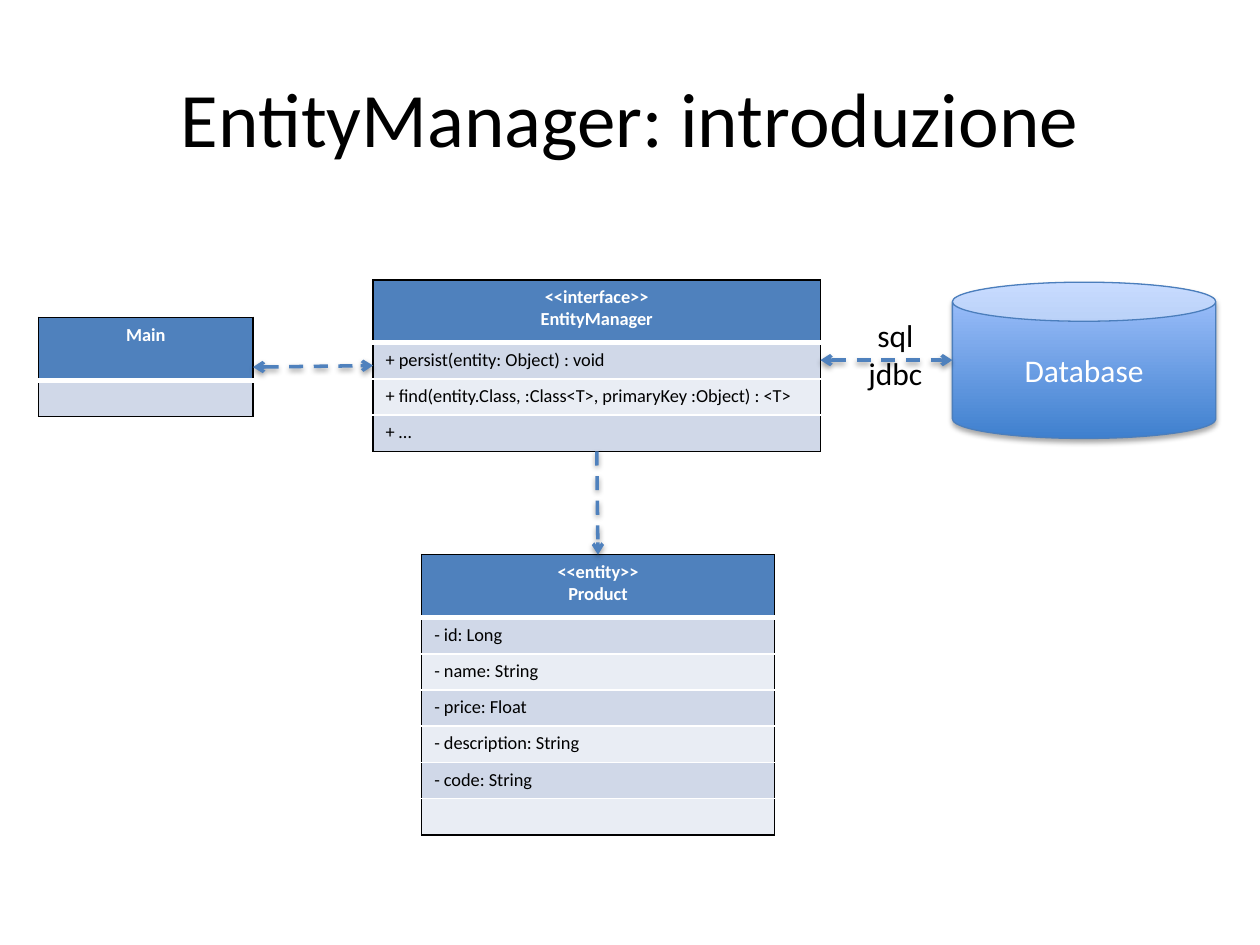
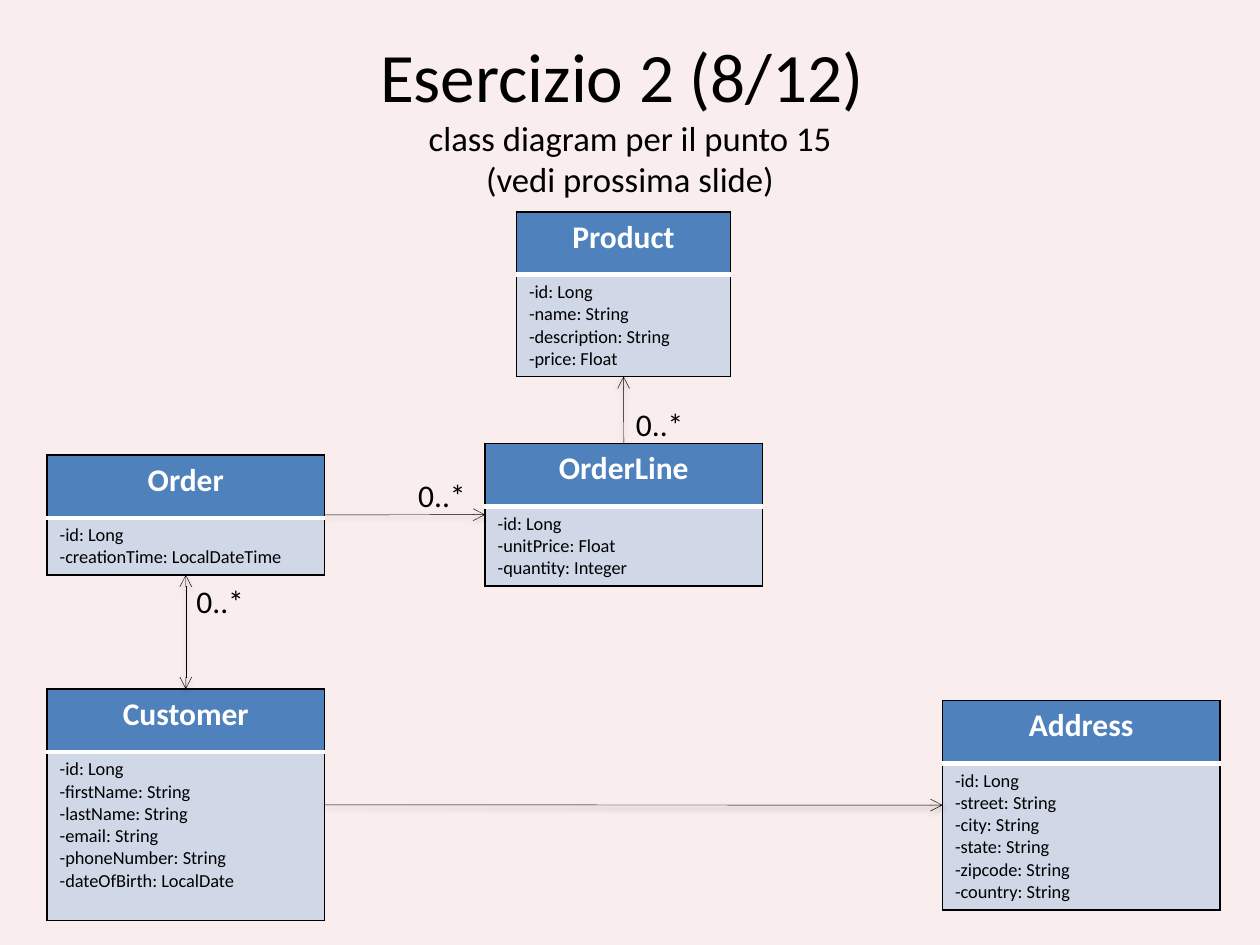
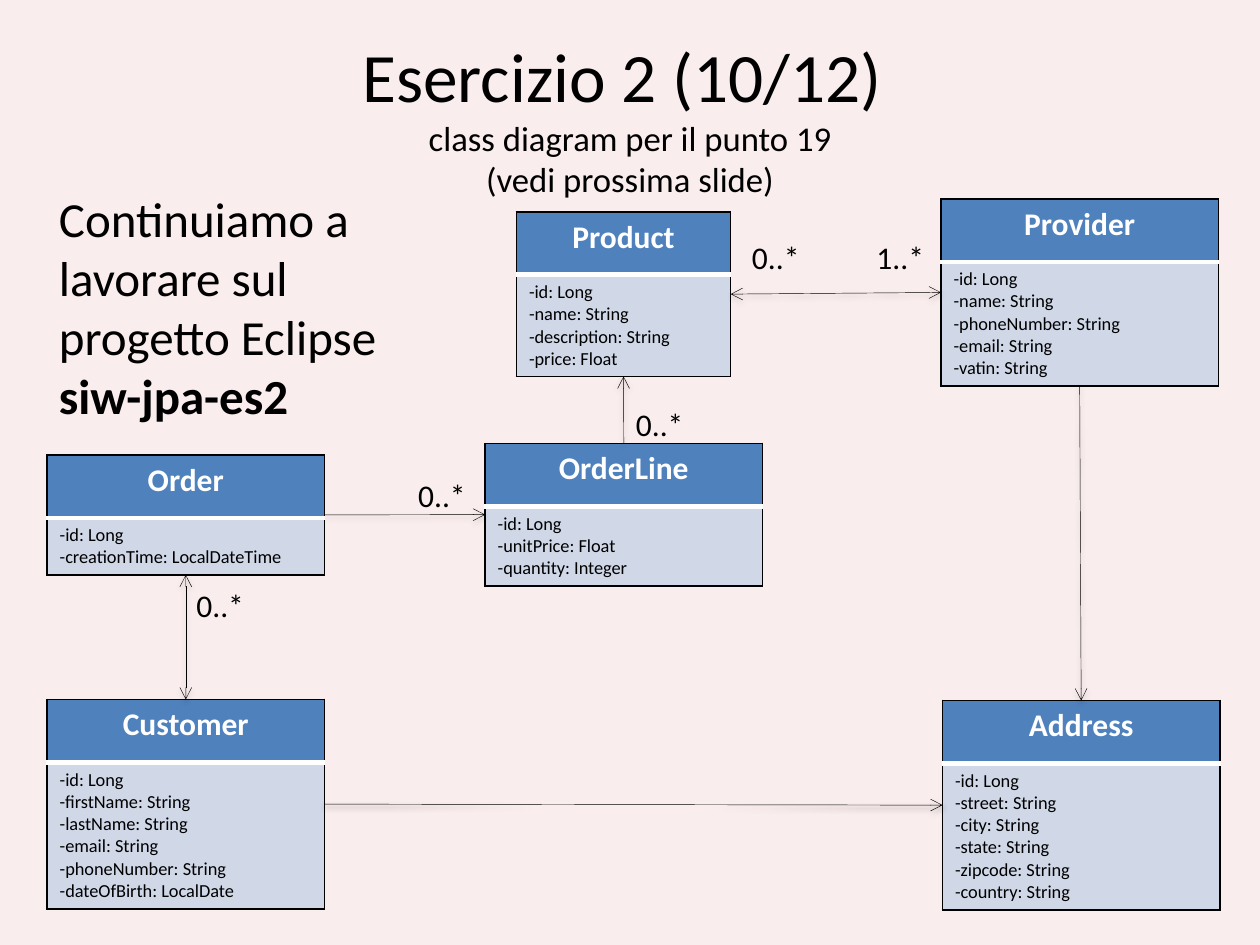
from dataclasses import dataclass, replace

from lxml import etree
from pptx import Presentation
from pptx.dml.color import RGBColor
from pptx.enum.dml import MSO_LINE
from pptx.enum.shapes import MSO_CONNECTOR, MSO_SHAPE
from pptx.enum.text import MSO_ANCHOR, MSO_AUTO_SIZE, PP_ALIGN
from pptx.oxml.ns import qn
from pptx.util import Cm, Pt

CENTER, LEFT = PP_ALIGN.CENTER, PP_ALIGN.LEFT
STRAIGHT, CAN = MSO_CONNECTOR.STRAIGHT, MSO_SHAPE.CAN
MIDDLE = MSO_ANCHOR.MIDDLE
NO_FIT, GROW = MSO_AUTO_SIZE.NONE, MSO_AUTO_SIZE.SHAPE_TO_FIT_TEXT
DASH = MSO_LINE.DASH
TOP_SIDE, LEFT_SIDE, BOTTOM_SIDE, RIGHT_SIDE = range(4)
TITLE_ONLY = 5


@dataclass(frozen=True)
class Theme:
    font: str = "Calibri"
    black: str = "000000"
    white: str = "FFFFFF"
    header: str = "4F81BD"
    bands: tuple[str, str] = ("D0D8E8", "E9EDF4")
    exercise_bg: str = "F9EDED"
    can_bottom: str = "3F80CE"
    can_top: str = "A4C4FF"
    can_line: str = "4B7EBC"
    title: float = 44
    exercise_title: float = 39.6
    subtitle: float = 19.8
    note: float = 28
    label: float = 18
    member: float = 10.5


THEME = Theme()

# Class box measures in cm
HEADER_H, MIN_ROW_H, LINE_H, CELL_PAD = 1.27, 0.73, 0.45, 0.25


@dataclass(frozen=True)
class ClassBox:
    name: str
    x: float
    y: float
    w: float
    rows: tuple[str, ...]
    stereotype: str = ""
    extra: float = 0
    size: float = THEME.label


@dataclass(frozen=True)
class Link:
    start: str
    start_side: int
    end: str
    end_side: int
    both: bool = False


@dataclass(frozen=True)
class Label:
    text: str
    x: float
    y: float
    w: float = 1.47
    h: float = 1.02
    align: PP_ALIGN = LEFT


@dataclass(frozen=True)
class LinkStyle:
    color: str
    width: float
    dashed: bool = False


THIN = LinkStyle(THEME.black, 0.25)
DASHED = LinkStyle(THEME.header, 2, True)


# Formatting helpers
def set_font(font, size: float, color: str, bold: bool = False) -> None:
    font.name = THEME.font
    font.size = Pt(size)
    font.bold = bold
    font.color.rgb = RGBColor.from_string(color)


def write(tf, text: str, size: float, color: str, align=LEFT, bold: bool = False) -> None:
    tf.text = text
    for p in tf.paragraphs:
        p.alignment = align
        set_font(p.font, size, color, bold)


def add_shadow(shape, opacity: int, distance: int) -> None:
    effects = etree.SubElement(shape._element.spPr, qn("a:effectLst"))
    shadow = etree.SubElement(effects, qn("a:outerShdw"), blurRad="40000",
                              dist=str(distance), dir="5400000", rotWithShape="0")
    color = etree.SubElement(shadow, qn("a:srgbClr"), val=THEME.black)
    etree.SubElement(color, qn("a:alpha"), val=str(opacity * 1000))


def set_borders(cell, top: tuple[str, float], bottom: tuple[str, float]) -> None:
    tcPr = cell._tc.get_or_add_tcPr()
    side = (THEME.black, 1)
    for tag, (color, width) in (("lnL", side), ("lnR", side), ("lnT", top), ("lnB", bottom)):
        ln = etree.SubElement(tcPr, qn(f"a:{tag}"), w=str(Pt(width)))
        fill = etree.SubElement(ln, qn("a:solidFill"))
        etree.SubElement(fill, qn("a:srgbClr"), val=color)


# Drawing
def add_class(s, box: ClassBox):
    heights = [HEADER_H]
    for text in box.rows:
        lines = text.count("\n") + 1
        heights.append(max(MIN_ROW_H, CELL_PAD + LINE_H * lines) + box.extra)
    frame = s.shapes.add_table(len(heights), 1, Cm(box.x), Cm(box.y),
                               Cm(box.w), Cm(sum(heights)))
    table = frame.table
    table.horz_banding = False
    outer, inner, divider = (THEME.black, 1), (THEME.white, 1), (THEME.white, 3)
    edges = [outer, divider] + [inner] * (len(box.rows) - 1) + [outer]
    heading = "\n".join(filter(None, (box.stereotype, box.name)))
    for i, (text, height) in enumerate(zip((heading, *box.rows), heights)):
        table.rows[i].height = Cm(height)
        cell = table.cell(i, 0)
        set_borders(cell, edges[i], edges[i + 1])
        cell.fill.solid()
        if i == 0:
            fill = THEME.header
            write(cell.text_frame, text, box.size, THEME.white, CENTER, True)
        else:
            fill = THEME.bands[(i - 1) % 2]
            write(cell.text_frame, text, THEME.member, THEME.black)
        cell.fill.fore_color.rgb = RGBColor.from_string(fill)
    return frame


def add_line(s, style: LinkStyle, both: bool, x1=0.0, y1=0.0, x2=0.0, y2=0.0):
    line = s.shapes.add_connector(STRAIGHT, Cm(x1), Cm(y1), Cm(x2), Cm(y2))
    line.line.color.rgb = RGBColor.from_string(style.color)
    line.line.width = Pt(style.width)
    if style.dashed:
        line.line.dash_style = DASH
    ln = line.line._get_or_add_ln()
    for tag in ("headEnd", "tailEnd") if both else ("tailEnd",):
        etree.SubElement(ln, qn(f"a:{tag}"), type="arrow")
    add_shadow(line, 38, 20000)
    return line


def add_diagram(s, boxes: list[ClassBox], links: list[Link], style: LinkStyle) -> None:
    frames = {box.name: add_class(s, box) for box in boxes}
    for link in links:
        line = add_line(s, style, link.both)
        line.begin_connect(frames[link.start], link.start_side)
        line.end_connect(frames[link.end], link.end_side)


def add_label(s, label: Label) -> None:
    tf = s.shapes.add_textbox(Cm(label.x), Cm(label.y), Cm(label.w), Cm(label.h)).text_frame
    tf.word_wrap = False
    tf.auto_size = GROW
    write(tf, label.text, THEME.label, THEME.black, label.align)


def add_database(s, x: float, y: float, w: float, h: float) -> None:
    can = s.shapes.add_shape(CAN, Cm(x), Cm(y), Cm(w), Cm(h))
    can.fill.gradient()
    can.fill.gradient_angle = 90
    for stop, color in zip(can.fill.gradient_stops, (THEME.can_bottom, THEME.can_top)):
        stop.color.rgb = RGBColor.from_string(color)
    can.line.color.rgb = RGBColor.from_string(THEME.can_line)
    can.line.width = Pt(0.75)
    add_shadow(can, 35, 23000)
    can.text_frame.vertical_anchor = MIDDLE
    write(can.text_frame, "Database", THEME.label, THEME.white, CENTER)


def add_slide(prs, background: str):
    s = prs.slides.add_slide(prs.slide_layouts[TITLE_ONLY])
    s.background.fill.solid()
    s.background.fill.fore_color.rgb = RGBColor.from_string(background)
    title = s.shapes.title
    title.left, title.top, title.width, title.height = Cm(1.27), Cm(0.76), Cm(22.86), Cm(3.18)
    tf = title.text_frame
    tf.auto_size = NO_FIT
    tf.vertical_anchor = MIDDLE
    return s, tf


def add_exercise(prs, heading: str, subtitle: tuple[str, ...], boxes: list[ClassBox],
                 links: list[Link], labels: list[Label]):
    s, tf = add_slide(prs, THEME.exercise_bg)
    p = tf.paragraphs[0]
    p.alignment = CENTER
    set_font(p.font, THEME.subtitle, THEME.black)
    r = p.add_run()
    r.text = heading
    r.font.size = Pt(THEME.exercise_title)
    for text in subtitle:
        p.add_line_break()
        p.add_run().text = text
    add_diagram(s, boxes, links, THIN)
    for label in labels:
        add_label(s, label)
    return s


# Entity manager slide
MANAGER_BOXES = [
    ClassBox("Product", 8.5, 11.18, 7.11,
             ("- id: Long", "- name: String", "- price: Float",
              "- description: String", "- code: String", ""),
             "<<entity>>", size=THEME.member),
    ClassBox("Main", 0.78, 6.4, 4.32, ("",), size=THEME.member),
    ClassBox("EntityManager", 7.52, 5.64, 9.02,
             ("+ persist(entity: Object) : void",
              "+ find(entity.Class, :Class<T>, primaryKey :Object) : <T>", "+ …"),
             "<<interface>>", size=THEME.member),
]
MANAGER_LINKS = [
    Link("EntityManager", BOTTOM_SIDE, "Product", TOP_SIDE),
    Link("Main", RIGHT_SIDE, "EntityManager", LEFT_SIDE, True),
]

# Order model shared by the exercise slides
CUSTOMER = ClassBox("Customer", 0.95, 14.1, 5.59,
                    ("-id: Long\n-firstName: String\n-lastName: String\n-email: String\n"
                     "-phoneNumber: String\n-dateOfBirth: LocalDate",))
ORDER_BOXES = [
    ClassBox("Product", 10.41, 4.27, 4.32,
             ("-id: Long\n-name: String\n-description: String\n-price: Float",)),
    ClassBox("Order", 0.95, 9.17, 5.59, ("-id: Long\n-creationTime: LocalDateTime",)),
    ClassBox("OrderLine", 9.78, 8.94, 5.59,
             ("-id: Long\n-unitPrice: Float\n-quantity: Integer",)),
    ClassBox("Address", 19, 14.12, 5.59,
             ("-id: Long\n-street: String\n-city: String\n-state: String\n"
              "-zipcode: String\n-country: String",)),
]
ORDER_LINKS = [
    Link("Order", RIGHT_SIDE, "OrderLine", LEFT_SIDE),
    Link("OrderLine", TOP_SIDE, "Product", BOTTOM_SIDE),
    Link("Customer", RIGHT_SIDE, "Address", LEFT_SIDE),
    Link("Customer", TOP_SIDE, "Order", BOTTOM_SIDE, True),
]
ORDER_LABELS = [Label("0..*", 8.18, 9.47), Label("0..*", 12.57, 8.05)]

# Provider, added in the second exercise
PROVIDER = ClassBox("Provider", 18.97, 4.01, 5.59,
                    ("-id: Long\n-name: String\n-phoneNumber: String\n"
                     "-email: String\n-vatin: String",))
PROVIDER_LINKS = [
    Link("Product", RIGHT_SIDE, "Provider", LEFT_SIDE, True),
    Link("Provider", BOTTOM_SIDE, "Address", TOP_SIDE),
]
PROVIDER_LABELS = [Label("1..*", 17.42, 4.67), Label("0..*", 14.91, 4.67)]


def build_manager_slide(prs) -> None:
    s, tf = add_slide(prs, THEME.white)
    write(tf, "EntityManager: introduzione", THEME.title, THEME.black, CENTER)
    add_diagram(s, MANAGER_BOXES, MANAGER_LINKS, DASHED)
    add_database(s, 19.2, 5.69, 5.31, 3.15)
    add_line(s, DASHED, True, 16.54, 7.26, 19.2, 7.26)
    add_label(s, Label("sql\njdbc", 17.25, 6.25, 1.6, 1.8, CENTER))


def build_exercise_slides(prs) -> None:
    next_slide = "(vedi prossima slide)"
    tall_customer = replace(CUSTOMER, y=13.89, extra=LINE_H)
    add_exercise(prs, "Esercizio 2 (8/12) ", ("class diagram per il punto 15", next_slide),
                 [*ORDER_BOXES, tall_customer], ORDER_LINKS,
                 [*ORDER_LABELS, Label("0..*", 3.71, 11.61)])
    s = add_exercise(prs, "Esercizio 2 (10/12) ", ("class diagram per il punto 19", next_slide),
                     [*ORDER_BOXES, CUSTOMER, PROVIDER], ORDER_LINKS + PROVIDER_LINKS,
                     [*ORDER_LABELS, *PROVIDER_LABELS, Label("0..*", 3.71, 11.68)])

    # Project note
    tf = s.shapes.add_textbox(Cm(0.94), Cm(3.68), Cm(7.21), Cm(5.05)).text_frame
    tf.word_wrap = True
    tf.auto_size = GROW
    write(tf, "Continuiamo a lavorare sul progetto Eclipse ", THEME.note, THEME.black)
    r = tf.paragraphs[0].add_run()
    r.text = "siw-jpa-es2"
    r.font.bold = True


def main() -> None:
    prs = Presentation()
    prs.slide_width, prs.slide_height = Cm(25.4), Cm(19.05)
    build_manager_slide(prs)
    build_exercise_slides(prs)
    prs.save("out.pptx")


if __name__ == "__main__":
    main()
